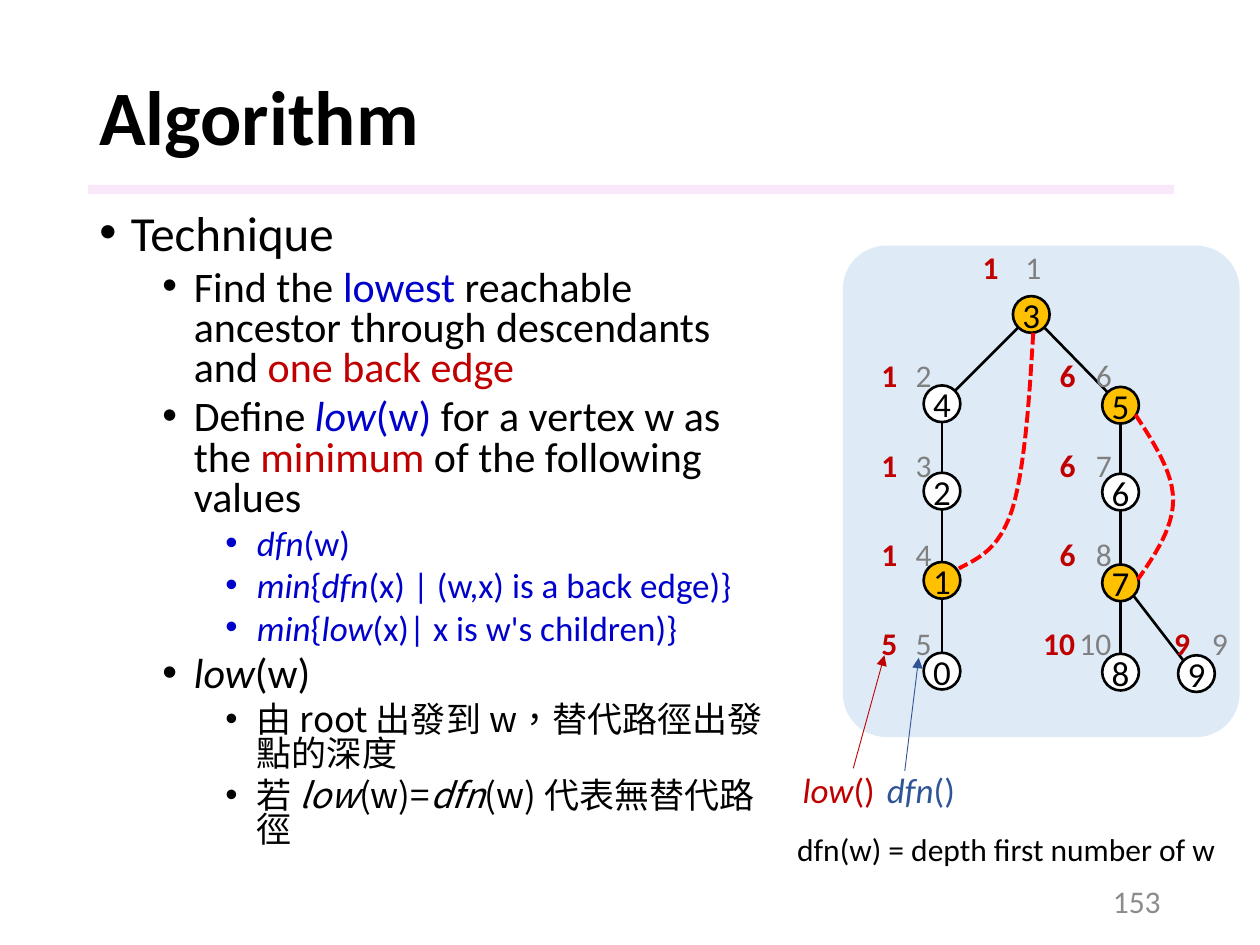
from dataclasses import dataclass
from math import sqrt

from lxml.etree import SubElement
from pptx import Presentation
from pptx.dml.color import RGBColor
from pptx.enum.dml import MSO_LINE
from pptx.enum.shapes import MSO_CONNECTOR, MSO_SHAPE
from pptx.enum.text import MSO_ANCHOR, MSO_AUTO_SIZE, PP_ALIGN
from pptx.oxml.ns import qn
from pptx.util import Cm, Pt


@dataclass(frozen=True)
class Theme:
    font: str = "Calibri"
    cjk_font: str = "Noto Sans CJK SC"
    black: str = "000000"
    white: str = "FFFFFF"
    blue: str = "0000CC"
    red: str = "C00000"
    navy: str = "2F5597"
    gray: str = "808080"
    page_gray: str = "8C8C8C"
    gold: str = "FFC000"
    panel: str = "DEEBF7"
    back_edge: str = "FF0000"
    rule: str = "F3D2F4"
    title_size: int = 44
    label_size: int = 18
    node_size: int = 20
    list_sizes: tuple = (28, 24, 20)


THEME = Theme()
DIAMETER = 0.74
LEFT, RIGHT = 18.62, 22.22
LABEL_ROWS = [7.06 + 1.8 * row for row in range(4)]

# (level, [(text, colour, italic), ...])
BODY = [
    (0, [("Technique", THEME.black, False)]),
    (1, [("Find the ", THEME.black, False), ("lowest", THEME.blue, False),
         (" reachable ancestor through descendants and ", THEME.black, False),
         ("one back edge", THEME.red, False)]),
    (1, [("Define ", THEME.black, False), ("low", THEME.blue, True),
         ("(w) ", THEME.blue, False), ("for a vertex w as the ", THEME.black, False),
         ("minimum", THEME.red, False), (" of the following values", THEME.black, False)]),
    (2, [("dfn", THEME.blue, True), ("(w)", THEME.blue, False)]),
    (2, [("min", THEME.blue, True), ("{", THEME.blue, False), ("dfn", THEME.blue, True),
         ("(x) | (w,x) is a back edge)}", THEME.blue, False)]),
    (2, [("min", THEME.blue, True), ("{", THEME.blue, False), ("low", THEME.blue, True),
         ("(x)| x is w's children)}", THEME.blue, False)]),
    (1, [("low", THEME.black, True), ("(w)", THEME.black, False)]),
    (2, [("由 root 出發到 w，替代路徑出發點的深度", THEME.black, False)]),
    (2, [("若 ", THEME.black, False), ("low", THEME.black, True),
         ("(w)=", THEME.black, False), ("dfn", THEME.black, True),
         ("(w) 代表無替代路徑", THEME.black, False)]),
]

# vertex: (left, top, fill)
VERTICES = {
    "3": (20.42, 5.97, THEME.gold),
    "4": (LEFT, 7.77, THEME.white), "2": (LEFT, 9.53, THEME.white),
    "1": (LEFT, 11.33, THEME.gold), "0": (LEFT, 13.16, THEME.white),
    "5": (RIGHT, 7.8, THEME.gold), "6": (RIGHT, 9.55, THEME.white),
    "7": (RIGHT, 11.38, THEME.gold), "8": (RIGHT, 13.18, THEME.white),
    "9": (23.75, 13.21, THEME.white),
}
TREE_EDGES = ["34", "42", "21", "10", "35", "56", "67", "78", "79"]

# (low right edge, dfn right edge, [(top, low, dfn), ...])
LABEL_COLUMNS = [
    (20.4, 21.26, [(4.88, "1", "1")]),
    (18.36, 19.05, list(zip(LABEL_ROWS, ["1", "1", "1", "5"], ["2", "3", "4", "5"]))),
    (21.95, 22.68, list(zip(LABEL_ROWS, ["6", "6", "6", "10"], ["6", "7", "8", "10"]))),
    (24.26, 25.02, [(LABEL_ROWS[3], "9", "9")]),
]

# Bezier points: a start, then three points per segment
BACK_EDGES = [
    [(20.83, 6.71), (20.75, 8.1), (20.65, 9.5), (20.4, 10.29),
     (20.14, 11.07), (19.74, 11.25), (19.33, 11.46)],
    [(22.89, 8.36), (23.27, 8.94), (23.65, 9.53), (23.65, 10.08),
     (23.65, 10.64), (23.29, 11.18), (22.94, 11.68)],
]


def format_span(span, size, color, bold=False, italic=False, font=THEME.font):
    span.font.name, span.font.size = font, Pt(size)
    span.font.bold, span.font.italic = bold, italic
    span.font.color.rgb = RGBColor.from_string(color)


def add_spans(para, spans, size):
    for text, color, italic in spans:
        span = para.add_run()
        span.text = text
        format_span(span, size, color, italic=italic)


def place(shape, left, top, width, height):
    shape.left, shape.top, shape.width, shape.height = map(Cm, (left, top, width, height))


def fill_title(title):
    place(title, 1.75, 1.02, 21.89, 2.82)
    frame = title.text_frame
    frame.text = "Algorithm"
    frame.vertical_anchor = MSO_ANCHOR.MIDDLE
    para = frame.paragraphs[0]
    para.alignment, para.line_spacing = PP_ALIGN.LEFT, 0.9
    format_span(para.runs[0], THEME.title_size, THEME.black, bold=True)


def fill_body(body):
    place(body, 1.75, 4.19, 14.07, 13.46)
    frame = body.text_frame
    frame.auto_size = MSO_AUTO_SIZE.NONE
    for index, (level, spans) in enumerate(BODY):
        para = frame.add_paragraph() if index else frame.paragraphs[0]
        para.level, para.line_spacing = level, 0.8
        para.space_before = Pt(5 if index else 0)
        props = para._p.get_or_add_pPr()
        props.set("marL", str(Cm(0.635 + 1.27 * level)))
        props.set("indent", str(-Cm(0.635)))
        SubElement(props, qn("a:buFont")).set("typeface", "Arial")
        SubElement(props, qn("a:buChar")).set("char", "•")
        add_spans(para, spans, THEME.list_sizes[level])
    for para in frame.paragraphs[-2:]:
        for span in para.runs:
            span.font.name = THEME.cjk_font
            props = span._r.get_or_add_rPr()
            props.set("lang", "zh-TW")
            SubElement(props, qn("a:ea")).set("typeface", THEME.cjk_font)


def add_block(page, kind, left, top, width, height, color):
    shape = page.shapes.add_shape(kind, *map(Cm, (left, top, width, height)))
    shape.shadow.inherit = False
    shape.fill.solid()
    shape.fill.fore_color.rgb = RGBColor.from_string(color)
    shape.line.fill.background()
    return shape


def add_vertex(page, name):
    left, top, color = VERTICES[name]
    node = add_block(page, MSO_SHAPE.OVAL, left, top, DIAMETER, DIAMETER, color)
    node.line.color.rgb, node.line.width = RGBColor.from_string(THEME.black), Pt(1.5)
    frame = node.text_frame
    frame.text = name
    frame.margin_left = frame.margin_right = 0
    frame.vertical_anchor = MSO_ANCHOR.MIDDLE
    frame.paragraphs[0].alignment = PP_ALIGN.CENTER
    format_span(frame.paragraphs[0].runs[0], THEME.node_size, THEME.black)
    return node


def add_line(page, start, end, color, width, arrow=False):
    line = page.shapes.add_connector(MSO_CONNECTOR.STRAIGHT, *map(Cm, (*start, *end)))
    line.line.color.rgb, line.line.width = RGBColor.from_string(color), Pt(width)
    if arrow:
        SubElement(line.line._get_or_add_ln(), qn("a:tailEnd")).set("type", "triangle")
    SubElement(line._element.spPr, qn("a:effectLst"))
    return line


def add_tree_edge(page, nodes, parent, child):
    """Join facing sides of two circles: vertical ones at the poles, others at 45 degrees."""
    radius = DIAMETER / 2
    (x1, y1, _), (x2, y2, _) = VERTICES[parent], VERTICES[child]
    side = (x2 > x1) - (x2 < x1)
    across = side * radius / sqrt(2)
    down = radius / sqrt(2) if side else radius
    line = add_line(page, (x2 + radius - across, y2 + radius - down),
                    (x1 + radius + across, y1 + radius + down), THEME.black, 1.5)
    if not side:
        line.begin_connect(nodes[child], 0)


def add_back_edge(page, points, steps=12):
    outline = []
    for first in range(0, len(points) - 1, 3):
        a, b, c, d = points[first:first + 4]
        for step in range(1, steps + 1):
            t = step / steps
            weights = ((1 - t) ** 3, 3 * t * (1 - t) ** 2, 3 * t * t * (1 - t), t ** 3)
            outline.append([Cm(sum(w * p[axis] for w, p in zip(weights, (a, b, c, d))))
                            for axis in (0, 1)])
    builder = page.shapes.build_freeform(*map(Cm, points[0]))
    builder.add_line_segments(outline, close=False)
    curve = builder.convert_to_shape()
    curve.shadow.inherit = False
    curve.fill.background()
    curve.line.color.rgb = RGBColor.from_string(THEME.back_edge)
    curve.line.width, curve.line.dash_style = Pt(2.25), MSO_LINE.SQUARE_DOT


def add_label(page, left, top, width, spans, size=THEME.label_size, height=1.02):
    box = page.shapes.add_textbox(*map(Cm, (left, top, width, height)))
    box.text_frame.word_wrap = False
    add_spans(box.text_frame.paragraphs[0], spans, size)
    return box


def add_number(page, right, top, text, color, bold=False):
    width = 0.51 + 0.33 * len(text)
    box = add_label(page, right - width, top, width, [(text, color, False)])
    box.text_frame.paragraphs[0].runs[0].font.bold = bold


def main():
    deck = Presentation()
    deck.slide_width, deck.slide_height = Cm(25.4), Cm(19.05)
    page = deck.slides.add_slide(deck.slide_layouts[1])
    rule = add_block(page, MSO_SHAPE.RECTANGLE, 1.78, 3.73, 21.89, 0.18, THEME.rule)
    tint = rule.fill._xPr.find(qn("a:solidFill"))[0]
    SubElement(tint, qn("a:alpha")).set("val", "50000")
    fill_title(page.shapes.title)
    fill_body(page.placeholders[1])

    panel = add_block(page, MSO_SHAPE.ROUNDED_RECTANGLE, 16.99, 4.95, 8, 9.91, THEME.panel)
    panel.adjustments[0] = 0.11
    nodes = {name: add_vertex(page, name) for name in VERTICES}
    for parent, child in TREE_EDGES:
        add_tree_edge(page, nodes, parent, child)
    for points in BACK_EDGES:
        add_back_edge(page, points)
    for low_right, dfn_right, rows in LABEL_COLUMNS:
        for top, low, dfn in rows:
            add_number(page, low_right, top, low, THEME.red, bold=True)
            add_number(page, dfn_right, top, dfn, THEME.gray)

    for name, left, width, color, start, end in [
            ("low", 15.93, 1.98, THEME.red, (17.2, 15.49), (17.83, 13.21)),
            ("dfn", 17.63, 1.9, THEME.navy, (18.24, 15.54), (18.52, 13.26))]:
        add_line(page, start, end, color, 0.5, arrow=True)
        add_label(page, left, 15.37, width, [(name, color, True), ("()", color, False)],
                  THEME.node_size, 1.12)
    add_label(page, 15.82, 16.61, 9.07,
              [("dfn(w) = depth first number of w", THEME.black, False)])
    number = add_label(page, 17.93, 17.65, 5.72, [("153", THEME.page_gray, False)])
    number.text_frame.word_wrap = True
    number.text_frame.vertical_anchor = MSO_ANCHOR.MIDDLE
    number.text_frame.paragraphs[0].alignment = PP_ALIGN.RIGHT
    deck.save("out.pptx")


if __name__ == "__main__":
    main()
